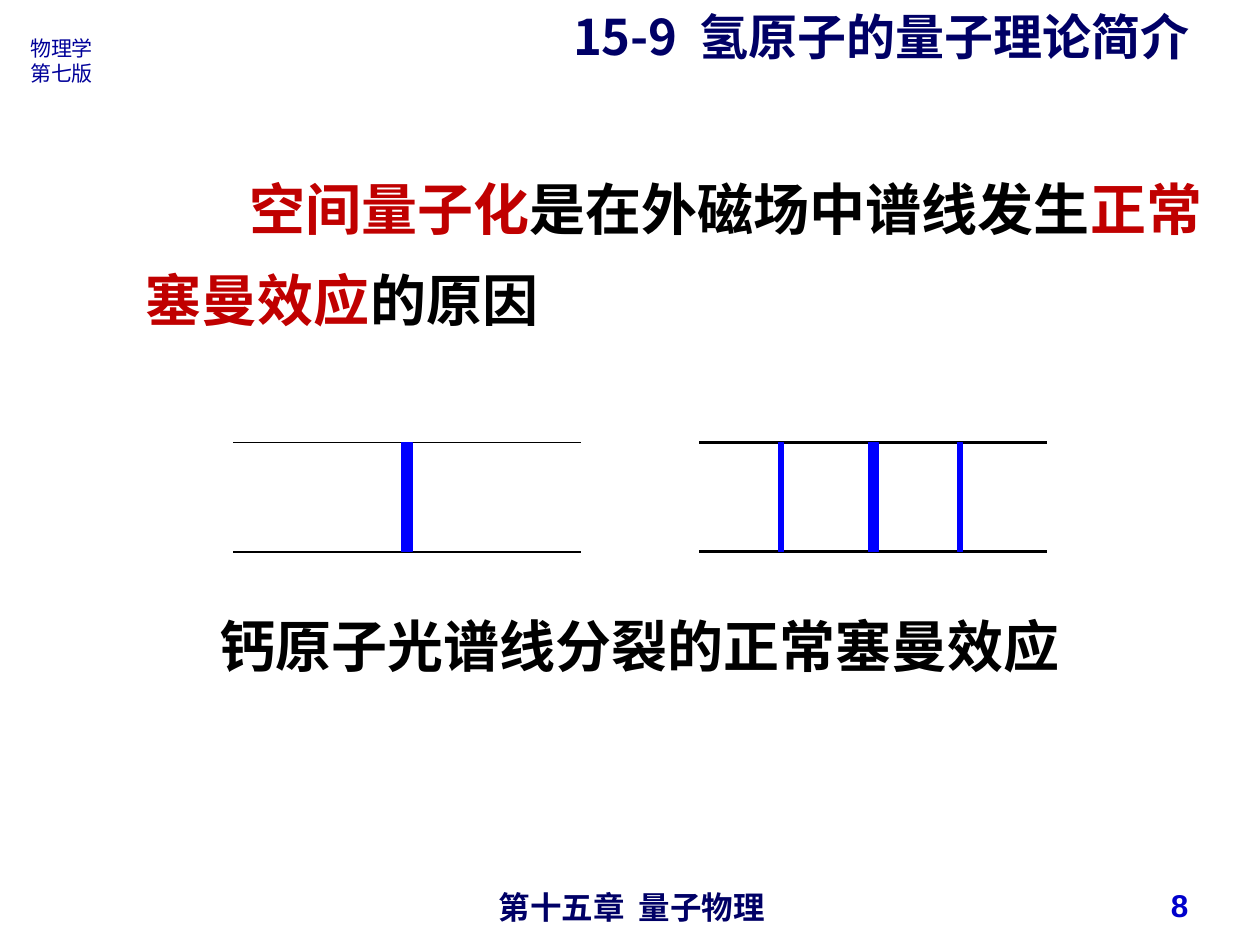
from pptx import Presentation
from pptx import util as u
from pptx.dml import color
from pptx.enum import shapes, text
from pptx.oxml import ns
from lxml import etree

COLORS = {
    "navy": "000066",
    "edition": "000099",
    "number": "0000CC",
    "ink": "000000",
    "accent": "C00000",
    "spectrum": "0000FF",
}
CJK = "Noto Sans CJK SC"
FOOTER = {"size": u.Pt(18), "name": "Arial", "bold": True}
HEADING = {"size": u.Pt(28), "name": CJK, "bold": True}
EDITION = {"size": u.Pt(12), "name": CJK, "bold": False}
BODY = {"size": u.Pt(32), "name": "Times New Roman", "bold": True}
BAND_TOP, BAND_BOTTOM, BAND_WIDTH = 3.51, 4.38, 2.76


def rgb(key):
    return color.RGBColor.from_string(COLORS[key])


def add_words(paragraph, words, ink, style):
    run = paragraph.add_run()
    run.text = words
    run.font.color.rgb = rgb(ink)
    for attribute, value in style.items():
        setattr(run.font, attribute, value)
    east_asian = etree.SubElement(run.font._element, ns.qn("a:ea"))
    east_asian.set("typeface", CJK)


def add_text(slide, box, lines, style, layout=None, anchor=text.MSO_ANCHOR.TOP):
    frame = slide.shapes.add_textbox(*map(u.Inches, box)).text_frame
    frame.word_wrap = True
    frame.vertical_anchor = anchor
    for index, line in enumerate(lines):
        paragraph = frame.add_paragraph() if index else frame.paragraphs[0]
        for attribute, value in (layout or {}).items():
            setattr(paragraph, attribute, value)
        for words, ink in line:
            add_words(paragraph, words, ink, style)
    return frame


def add_edge(slide, left, y, weight):
    edge = slide.shapes.add_connector(
        shapes.MSO_CONNECTOR.STRAIGHT,
        *map(u.Inches, (left, y, left + BAND_WIDTH, y)))
    edge.line.color.rgb = rgb("ink")
    edge.line.width = u.Pt(weight)
    etree.SubElement(edge._element.spPr, ns.qn("a:effectLst"))


def add_spectral_line(slide, left, width):
    bar = slide.shapes.add_shape(
        shapes.MSO_SHAPE.RECTANGLE,
        *map(u.Inches, (left, BAND_TOP, width, BAND_BOTTOM - BAND_TOP)))
    bar.shadow.inherit = False
    bar.fill.solid()
    bar.fill.fore_color.rgb = rgb("spectrum")
    bar.line.color.rgb = rgb("spectrum")
    bar.line.width = u.Pt(0.75)


def add_spectrum(slide, left, weight, spectral_lines):
    for y in (BAND_TOP, BAND_BOTTOM):
        add_edge(slide, left, y, weight)
    for position, width in spectral_lines:
        add_spectral_line(slide, position, width)


def add_statement(slide):
    statement = [("空间量子化", "accent"), ("是在外磁场中谱线发生", "ink"),
                 ("正常塞曼效应", "accent"), ("的原因", "ink")]
    frame = add_text(slide, (1.06, 1.15, 8.67, 1.54), [statement], BODY,
                     {"line_spacing": 1.35})
    properties = frame.paragraphs[0]._p.get_or_add_pPr()
    properties.set("indent", str(u.Inches(0.82)))


def main():
    deck = Presentation()
    deck.slide_width, deck.slide_height = u.Inches(10), u.Inches(7.5)
    slide = deck.slides.add_slide(deck.slide_layouts[6])

    add_text(slide, (3.43, 7, 3.17, 0.29), [[("第十五章  量子物理", "navy")]],
             FOOTER, {"alignment": text.PP_ALIGN.CENTER})
    add_text(slide, (4.45, 0, 5.36, 1.04),
             [[("15-9  氢原子的量子理论简介", "navy")]], HEADING)
    add_text(slide, (0.14, 0.23, 0.72, 0.5),
             [[("物理学", "edition")], [("第七版", "edition")]], EDITION)
    add_statement(slide)

    add_spectrum(slide, 1.85, 0.75, [(3.19, 0.08)])
    add_spectrum(slide, 5.55, 1.75, [(6.89, 0.08), (6.18, 0.04), (7.6, 0.04)])
    add_text(slide, (1.64, 4.62, 7.13, 0.82),
             [[("钙原子光谱线分裂的正常塞曼效应", "ink")]], BODY,
             {"line_spacing": 1.35})
    add_text(slide, (7.2, 6.98, 2.33, 0.4), [[("8", "number")]], FOOTER,
             {"alignment": text.PP_ALIGN.RIGHT}, text.MSO_ANCHOR.MIDDLE)

    deck.save("out.pptx")


if __name__ == "__main__":
    main()
